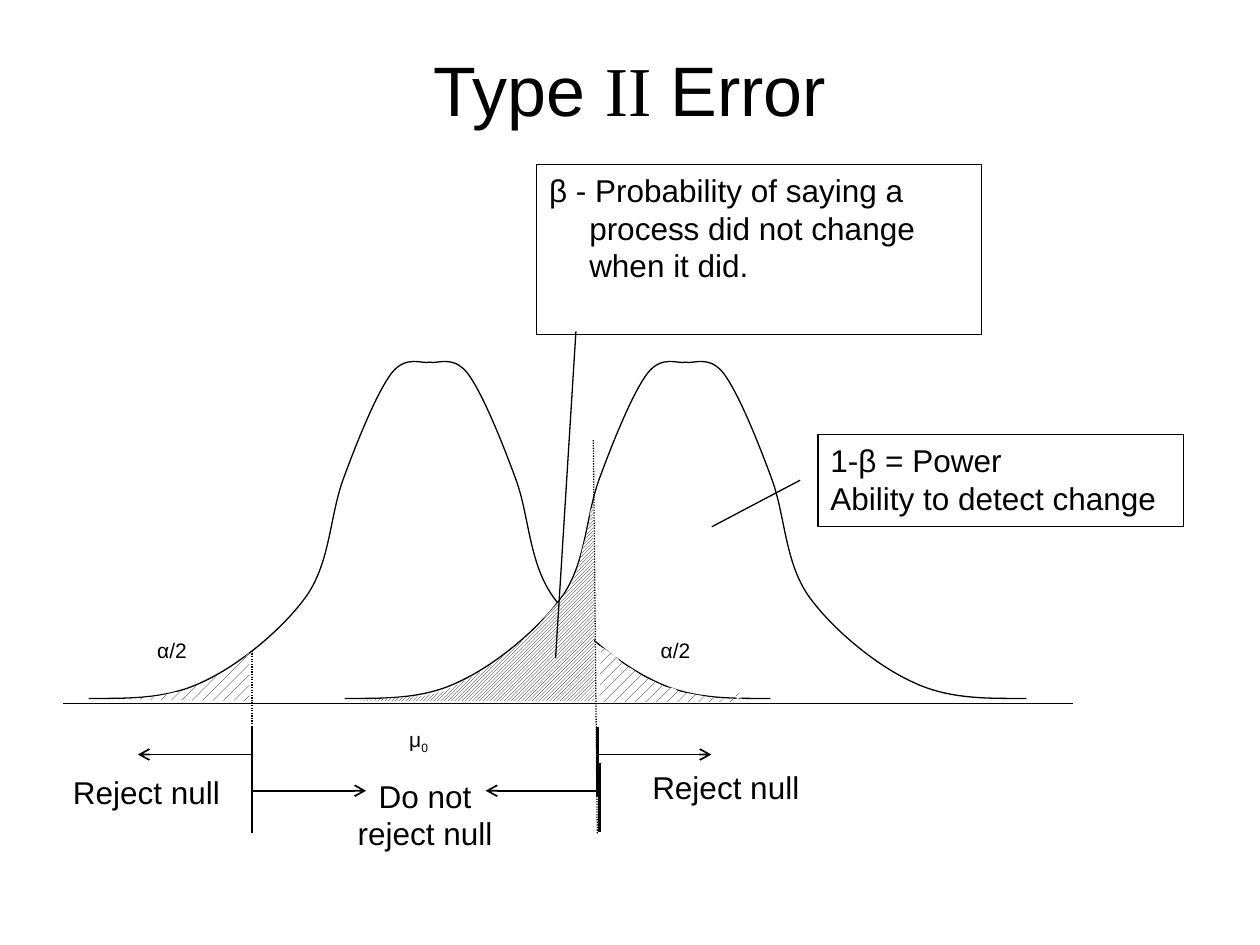
from dataclasses import dataclass

from lxml.etree import SubElement
from pptx import Presentation
from pptx.dml.color import RGBColor
from pptx.enum.dml import MSO_LINE, MSO_PATTERN
from pptx.enum.shapes import MSO_CONNECTOR, MSO_SHAPE
from pptx.enum.text import MSO_ANCHOR, MSO_AUTO_SIZE, PP_ALIGN
from pptx.oxml.ns import qn
from pptx.util import Cm, Pt


@dataclass(frozen=True)
class Theme:
    ink: RGBColor = RGBColor(0, 0, 0)
    paper: RGBColor = RGBColor(255, 255, 255)
    sans: str = "Arial"
    serif: str = "Times New Roman"
    title: float = 40
    body: float = 18
    label: float = 12
    thin: float = 0.75
    arrow: float = 1
    bar: float = 1.5


@dataclass(frozen=True)
class Box:
    left: float
    top: float
    width: float
    height: float

    def point(self, x, y):
        return Cm(self.left + x), Cm(self.top + y)

    def above_base(self, x, height):
        return self.point(x, self.height - height)

    def inner(self, x, y, width, height):
        return Box(self.left + x, self.top + y, width, height)

    def frame(self):
        return Cm(self.left), Cm(self.top), Cm(self.width), Cm(self.height)


THEME = Theme()

HALF_BELL = [
    (6.87, 0.10), (6.08, 0.10), (5.31, 0.08), (4.58, 0.43), (3.85, 0.76), (2.95, 1.50),
    (2.47, 2.18), (2.00, 2.87), (2.01, 3.78), (1.74, 4.52), (1.46, 5.28), (1.07, 6.25),
    (0.77, 6.65), (0.47, 7.04), (0.14, 6.83), (0.00, 6.88),
]
BETA_AREA = [
    (10.69, 4.01), (10.72, 0.05), (5.92, 0.05), (7.26, 0.15), (7.65, 0.23), (7.95, 0.38),
    (8.31, 0.56), (8.66, 0.79), (8.97, 1.02), (9.27, 1.27), (9.53, 1.50), (9.75, 1.78),
    (10.03, 2.08), (10.24, 2.36), (10.41, 2.79), (10.46, 3.07), (10.54, 3.35),
    (10.62, 3.66), (10.62, 3.84), (10.69, 4.01),
]
LOWER_TAIL = [
    (3.76, 1.02), (3.73, -0.13), (3.76, 1.30), (3.76, 0.00), (3.76, 0.00), (3.73, 0.05),
    (3.73, 0.05), (0.66, 0.08), (1.70, 0.08), (0.66, 0.08), (0.94, 0.08), (1.42, 0.08),
    (1.78, 0.13), (2.01, 0.15), (2.21, 0.23), (2.44, 0.25), (2.62, 0.33), (2.74, 0.36),
    (2.82, 0.38), (2.90, 0.43), (3.00, 0.48), (3.07, 0.53), (3.20, 0.61), (3.35, 0.66),
    (3.53, 0.79), (3.63, 0.84), (3.68, 0.97), (3.76, 1.02),
]
UPPER_TAIL = [
    (10.85, 1.14), (10.82, 0.36), (10.82, 0.71), (10.82, 0.03), (11.76, 0.03), (12.70, 0.03),
    (13.67, 0.03), (13.64, 0.15), (13.67, 0.28), (13.56, 0.15), (13.59, 0.13), (13.59, 0.08),
    (13.61, 0.08), (13.74, 0.08), (13.69, 0.10), (13.64, 0.10), (13.23, 0.05), (12.83, 0.18),
    (12.42, 0.23), (12.32, 0.33), (12.29, 0.30), (12.12, 0.33), (11.99, 0.41), (11.84, 0.48),
    (11.73, 0.51), (11.61, 0.58), (11.51, 0.69), (11.38, 0.74), (11.30, 0.79), (11.23, 0.84),
    (11.15, 0.94), (11.02, 1.02), (10.92, 1.12), (10.82, 1.14), (10.77, 1.17), (10.82, 1.17),
    (10.85, 1.14),
]


def write(frame, paragraphs, size=THEME.body, align=PP_ALIGN.LEFT, anchor=MSO_ANCHOR.TOP,
          inset=None, hanging=0, grow=False):
    frame.word_wrap = True
    frame.auto_size = MSO_AUTO_SIZE.SHAPE_TO_FIT_TEXT if grow else MSO_AUTO_SIZE.NONE
    frame.vertical_anchor = anchor
    if inset is not None:
        frame.margin_left = frame.margin_right = Cm(inset)
        frame.margin_top = frame.margin_bottom = Cm(inset)
    for index, pieces in enumerate(paragraphs):
        paragraph = frame.add_paragraph() if index else frame.paragraphs[0]
        paragraph.alignment = align
        if hanging:
            properties = paragraph._p.get_or_add_pPr()
            properties.set("marL", str(Cm(hanging)))
            properties.set("indent", str(-Cm(hanging)))
        for words, style in ([(pieces, {})] if isinstance(pieces, str) else pieces):
            run = paragraph.add_run()
            run.text = words
            run.font.size = Pt(size)
            run.font.name = style.get("font", THEME.sans)
            run.font.color.rgb = THEME.ink
            if "baseline" in style:
                run._r.get_or_add_rPr().set("baseline", style["baseline"])


def panel(slide, box, paragraphs, outlined=False, **text_format):
    rectangle = slide.shapes.add_shape(MSO_SHAPE.RECTANGLE, *box.frame())
    rectangle.shadow.inherit = False
    rectangle.fill.solid()
    rectangle.fill.fore_color.rgb = THEME.paper
    if outlined:
        rectangle.line.color.rgb = THEME.ink
        rectangle.line.width = Pt(THEME.thin)
    else:
        rectangle.line.fill.background()
    write(rectangle.text_frame, paragraphs, **text_format)


def stroke(slide, start, end, width=THEME.thin, dotted=False, arrow=False):
    connector = slide.shapes.add_connector(MSO_CONNECTOR.STRAIGHT, *start, *end)
    connector.line.color.rgb = THEME.ink
    connector.line.width = Pt(width)
    if dotted:
        connector.line.dash_style = MSO_LINE.ROUND_DOT
    if arrow:
        SubElement(connector.line._get_or_add_ln(), qn("a:tailEnd"), type="arrow")
    SubElement(connector._element.spPr, qn("a:effectLst"))


def outline(slide, box, points, curved=True, close=False):
    vertices = [box.above_base(*point) for point in points]
    builder = slide.shapes.build_freeform(*vertices[0], scale=1.0)
    builder.add_line_segments(vertices[1:], close=close)
    freeform = builder.convert_to_shape()
    freeform.shadow.inherit = False
    if curved:
        segments = list(freeform._element.iter(qn("a:lnTo")))
        for first, second, third in zip(*[iter(segments)] * 3):
            first.tag = qn("a:cubicBezTo")
            for segment in (second, third):
                first.append(segment[0])
                segment.getparent().remove(segment)
    return freeform


def draw_bell(slide, box, peak):
    for side in (-1, 1):
        half = [(peak + side * x, height) for x, height in HALF_BELL]
        curve = outline(slide, box, half)
        curve.fill.background()
        curve.line.color.rgb = THEME.ink
        curve.line.width = Pt(THEME.thin)
    stroke(slide, box.above_base(peak - 7.39, 0), box.above_base(peak + 7.82, 0))


def hatch_area(slide, box, points, pattern, curved=True):
    area = outline(slide, box, points, curved=curved, close=True)
    area.fill.patterned()
    area.fill.pattern = pattern
    area.fill.fore_color.rgb = THEME.ink
    area.fill.back_color.rgb = THEME.paper
    area.line.fill.background()


def add_title(slide, box):
    title = slide.shapes.title
    title.left, title.top, title.width, title.height = box.frame()
    pieces = [("Type ", {}), ("II", {"font": THEME.serif}), (" Error", {})]
    write(title.text_frame, [pieces], size=THEME.title, align=PP_ALIGN.CENTER,
          anchor=MSO_ANCHOR.MIDDLE)


def add_label(slide, box, pieces):
    panel(slide, box, [pieces], size=THEME.label, inset=0)


def add_distributions(slide, box):
    null_peak, shifted_peak = 7.39, 12.55
    lower, upper = 3.81, 10.77
    stroke(slide, box.above_base(lower, 1.06), box.above_base(lower, -2.62), dotted=True)
    stroke(slide, box.above_base(upper - 0.08, 5.31), box.above_base(upper, -2.62), dotted=True)
    draw_bell(slide, box, shifted_peak)
    add_label(slide, box.inner(6.98, 7.5, 0.64, 0.71), [("μ", {}), ("0", {"baseline": "-25000"})])
    add_label(slide, box.inner(1.9, 5.7, 0.79, 0.71), "α/2")
    draw_bell(slide, box, null_peak)
    for tail in (LOWER_TAIL, UPPER_TAIL):
        hatch_area(slide, box, tail, MSO_PATTERN.PERCENT_20)
    add_label(slide, box.inner(12.05, 5.7, 0.79, 0.71), "α/2")
    hatch_area(slide, box, BETA_AREA, MSO_PATTERN.LIGHT_UPWARD_DIAGONAL, curved=False)


def add_decision_zones(slide, box):
    lower, upper, reach = 3.86, 10.82, 2.3
    zones = [(upper, 0, reach), (upper + 0.05, 0.73, -reach),
             (lower, 0.73, reach), (lower, 0, -reach)]
    for x, y, run in zones:
        stroke(slide, box.point(x, y), box.point(x, y + 1.4), width=THEME.bar)
        stroke(slide, box.point(x, y + 0.56), box.point(x + run, y + 0.56),
               width=THEME.arrow, arrow=True)
    decisions = [("Reject null", 11.68, 0.7, 1.02, PP_ALIGN.LEFT),
                 ("Reject null", 0, 0.8, 1.02, PP_ALIGN.LEFT),
                 ("Do not reject null", 5.56, 0.88, 1.8, PP_ALIGN.CENTER)]
    for words, x, y, height, align in decisions:
        decision = slide.shapes.add_textbox(*box.inner(x, y, 3.58, height).frame())
        write(decision.text_frame, [words], align=align, grow=True)


def main():
    presentation = Presentation()
    presentation.slide_width, presentation.slide_height = Cm(25.4), Cm(19.05)
    slide = presentation.slides.add_slide(presentation.slide_layouts[5])
    power, beta = Box(16.49, 8.76, 7.37, 1.85), Box(10.82, 3.32, 8.97, 3.42)
    add_title(slide, Box(1.27, 0.76, 22.86, 2.06))
    panel(slide, power, ["1-β = Power", "Ability to detect change"], outlined=True)
    add_distributions(slide, Box(1.27, 7.15, 20.37, 7.03))
    panel(slide, beta, ["β - Probability of saying a process did not change when it did."],
          outlined=True, hanging=0.81)
    stroke(slide, beta.point(0.79, 3.36), beta.point(0.38, 9.94))
    add_decision_zones(slide, Box(1.22, 14.65, 15.26, 2.68))
    stroke(slide, power.point(-2.14, 1.86), power.point(-0.36, 0.92))
    presentation.save("out.pptx")


if __name__ == "__main__":
    main()
